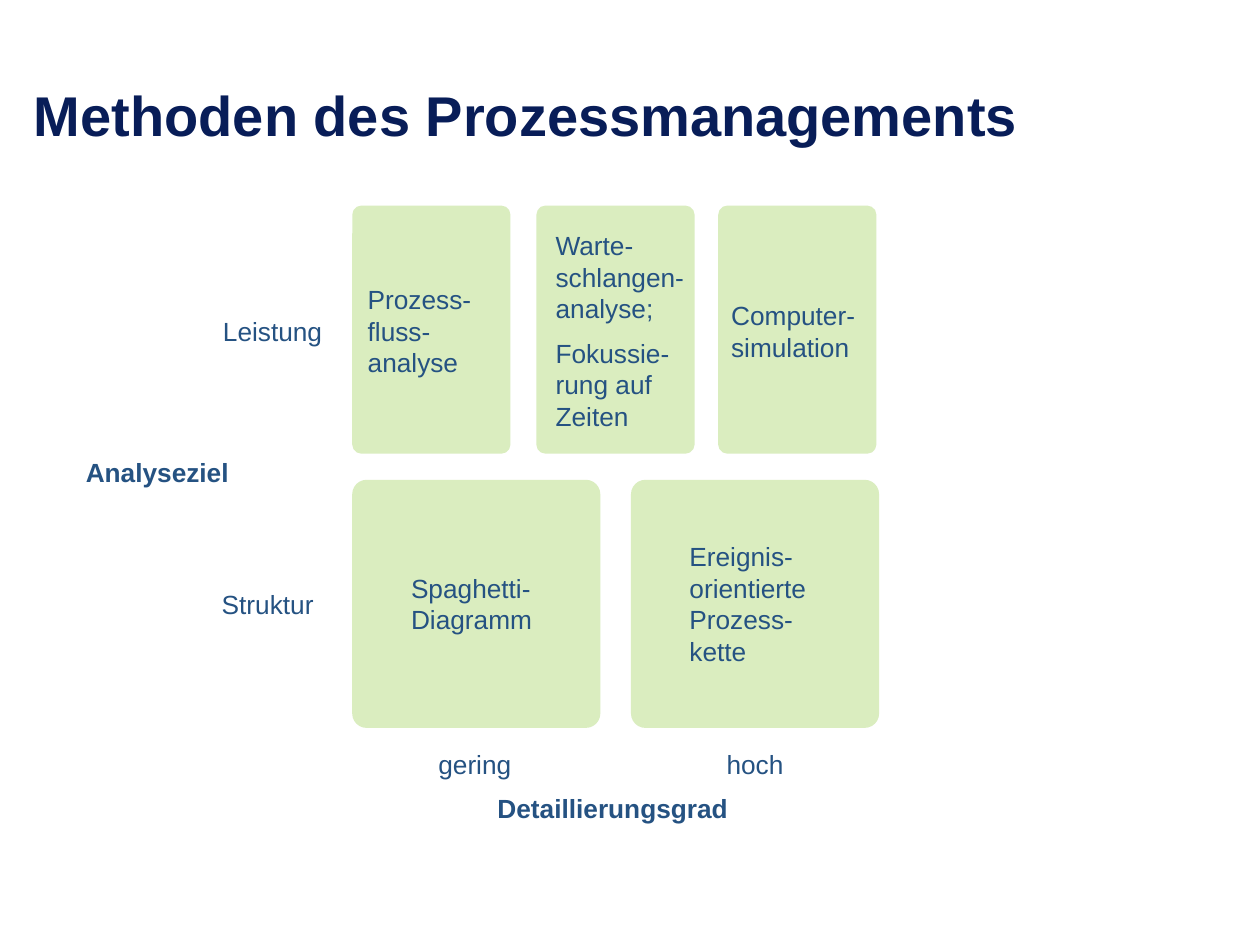
from dataclasses import dataclass

from pptx import Presentation
from pptx.dml.color import RGBColor
from pptx.enum.shapes import MSO_SHAPE as Preset
from pptx.enum.text import MSO_ANCHOR as Anchor, MSO_AUTO_SIZE as AutoSize, PP_ALIGN as Align
from pptx.slide import Slide
from pptx.text.text import _Paragraph as Paragraph
from pptx.util import Pt


@dataclass(frozen=True)
class Theme:
    font: str = "Arial"
    title_size: float = 32
    body_size: float = 15
    title_color: RGBColor = RGBColor(0x08, 0x1D, 0x58)
    body_color: RGBColor = RGBColor(0x25, 0x52, 0x82)
    card_color: RGBColor = RGBColor(0xDA, 0xED, 0xBF)
    paragraph_gap: float = 7.5
    corner: float = 0.058


@dataclass(frozen=True)
class Card:
    left: float
    top: float
    width: float


@dataclass(frozen=True)
class Label:
    left: float
    top: float
    width: float
    paragraphs: tuple[str, ...]
    bold: bool = False
    align: Align = Align.LEFT


THEME = Theme()
LINE_HEIGHT = 18
CARD_HEIGHT = 141.8
PERFORMANCE_TOP, STRUCTURE_TOP = 117.5, 274.2

CARDS = [
    *(Card(left, STRUCTURE_TOP, CARD_HEIGHT) for left in (201.3, 360.6)),
    *(Card(left, PERFORMANCE_TOP, 90.4) for left in (201.3, 306.5, 410.4)),
]

LABELS = [
    Label(317.5, 131.2, 77.8, ("Warte-\nschlangen-\nanalyse;", "Fokussie-\nrung auf\nZeiten")),
    Label(210.1, 162, 77.8, ("Prozess-\nfluss-\nanalyse",)),
    Label(417.8, 171.2, 77.8, ("Computer-\nsimulation",)),
    Label(234.9, 327, 115.2, ("Spaghetti-\nDiagramm",)),
    Label(394, 309, 115.2, ("Ereignis-\norientierte\nProzess-\nkette",)),
    Label(250.5, 427.8, 115.2, ("gering",)),
    Label(415.2, 427.8, 115.2, ("hoch",)),
    Label(247.5, 452.6, 205.2, ("Detaillierungsgrad",), bold=True, align=Align.CENTER),
    Label(49, 260.6, 92.9, ("Analyseziel",), bold=True),
    Label(127.4, 180, 64.1, ("Leistung",)),
    Label(126.7, 336.2, 56.9, ("Struktur",)),
]


def format_paragraph(paragraph: Paragraph, size: float, color: RGBColor, bold: bool) -> None:
    font = paragraph.font
    font.name = THEME.font
    font.size = Pt(size)
    font.bold = bold
    font.color.rgb = color


def draw_title(slide: Slide, text: str) -> None:
    title = slide.shapes.title
    title.left, title.top, title.width, title.height = Pt(12.2), Pt(8.6), Pt(694), Pt(79.2)
    frame = title.text_frame
    frame.text = text
    frame.auto_size = AutoSize.NONE
    frame.vertical_anchor = Anchor.BOTTOM
    paragraph = frame.paragraphs[0]
    paragraph.alignment = Align.LEFT
    format_paragraph(paragraph, THEME.title_size, THEME.title_color, True)


def draw_card(slide: Slide, card: Card) -> None:
    shape = slide.shapes.add_shape(
        Preset.ROUNDED_RECTANGLE, Pt(card.left), Pt(card.top), Pt(card.width), Pt(CARD_HEIGHT)
    )
    shape.adjustments[0] = THEME.corner
    shape.shadow.inherit = False
    shape.fill.solid()
    shape.fill.fore_color.rgb = THEME.card_color
    shape.line.fill.background()


def draw_label(slide: Slide, label: Label) -> None:
    line_count = sum(text.count("\n") + 1 for text in label.paragraphs)
    height = line_count * LINE_HEIGHT + (len(label.paragraphs) - 1) * THEME.paragraph_gap
    box = slide.shapes.add_textbox(Pt(label.left), Pt(label.top), Pt(label.width), Pt(height))
    frame = box.text_frame
    frame.word_wrap = True
    frame.auto_size = AutoSize.SHAPE_TO_FIT_TEXT
    frame.margin_left = frame.margin_right = frame.margin_top = frame.margin_bottom = Pt(0)
    for index, text in enumerate(label.paragraphs):
        paragraph = frame.add_paragraph() if index else frame.paragraphs[0]
        paragraph.text = text
        paragraph.alignment = label.align
        if index:
            paragraph.space_before = Pt(THEME.paragraph_gap)
        format_paragraph(paragraph, THEME.body_size, THEME.body_color, label.bold)


def main() -> None:
    presentation = Presentation()
    presentation.slide_width, presentation.slide_height = Pt(720), Pt(540)
    slide = presentation.slides.add_slide(presentation.slide_layouts.get_by_name("Title Only"))
    draw_title(slide, "Methoden des Prozessmanagements")
    for card in CARDS:
        draw_card(slide, card)
    for label in LABELS:
        draw_label(slide, label)
    presentation.save("out.pptx")


if __name__ == "__main__":
    main()
